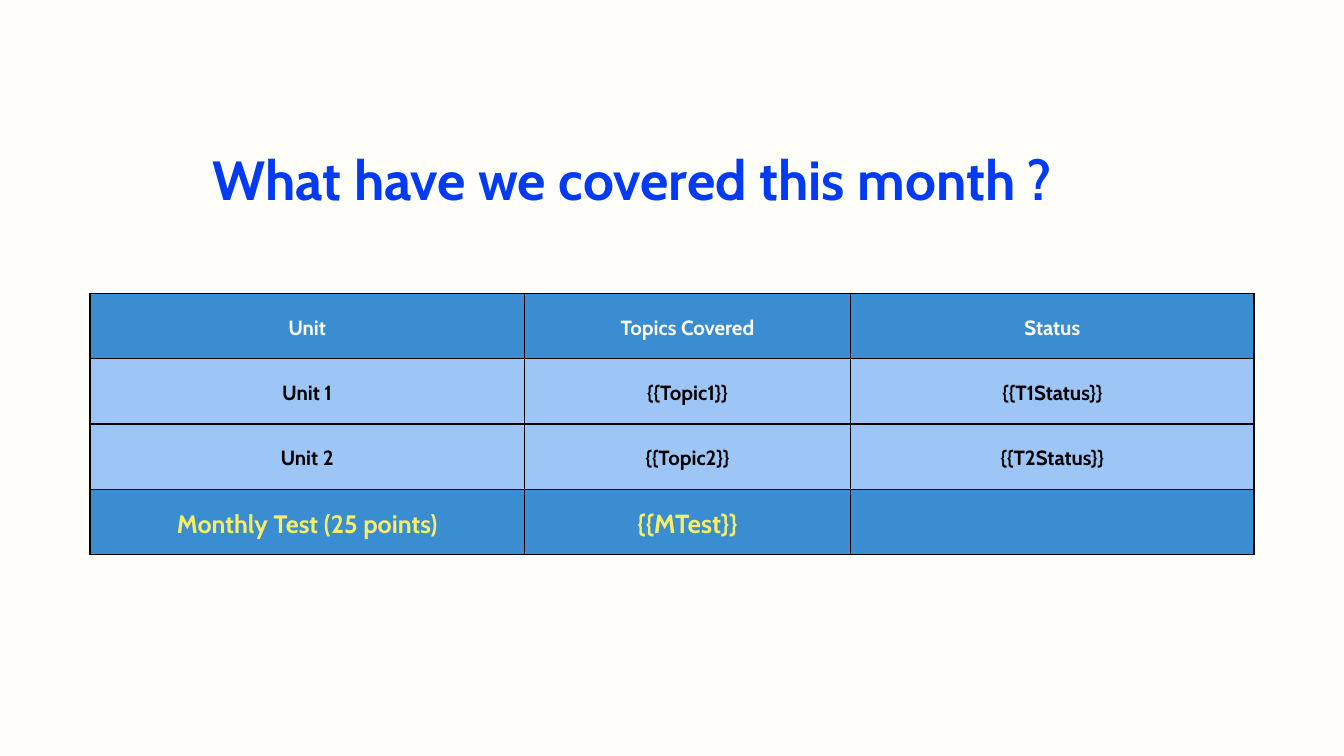
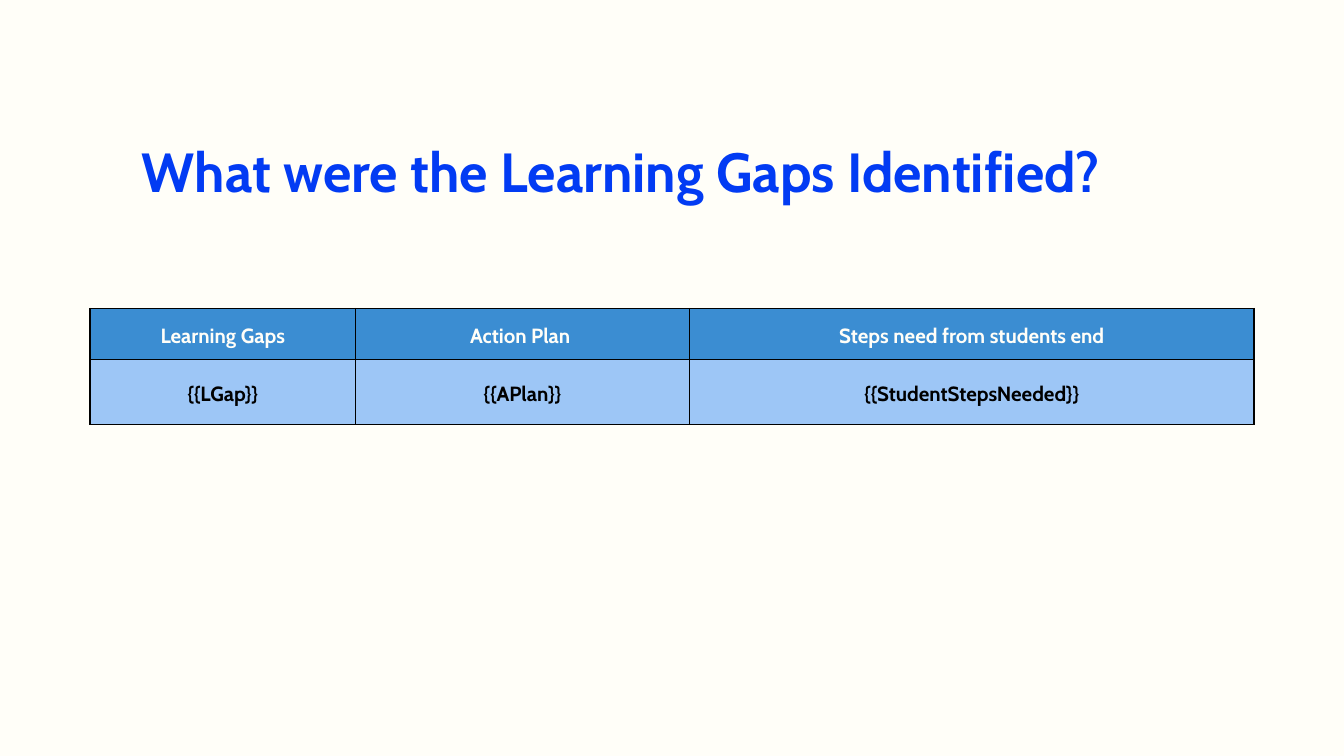
"""Build two monthly review slides, each with a title and a bordered table."""
from lxml import etree
from pptx import Presentation, util as u
from pptx.dml.color import RGBColor
from pptx.enum import text
from pptx.oxml.ns import qn

PX = 9144
FONT = "Cabin"
COLORS = {
    "paper": "FFFEF8",
    "title": "023BF3",
    "band": "3B8DD2",
    "body": "9DC6F6",
    "ink": "000000",
    "score": "F8EE66",
}
ROW_STYLES = {
    "header": ("band", "paper"),
    "unit": ("body", "ink"),
    "test": ("band", "score"),
}
SLIDES = [
    {
        "title": "What have we covered this month ?",
        "title_box": (316, 200, 1411, 110),
        "top": 437,
        "cols": [646, 486, 600],
        "rows": [
            ("header", 97, [22, 22, 22], ["Unit", "Topics Covered", "Status"]),
            ("unit", 97, [22, 22, 22], ["Unit 1", "{{Topic1}}", "{{T1Status}}"]),
            ("unit", 97, [22, 22, 22], ["Unit 2", "{{Topic2}}", "{{T2Status}}"]),
            ("test", 97, [27, 28, 28], ["Monthly Test (25 points)", "{{MTest}}", ""]),
        ],
    },
    {
        "title": "What were the Learning Gaps Identified?",
        "title_box": (211, 188, 1619, 110),
        "top": 459,
        "cols": [395, 497, 840],
        "rows": [
            ("header", 76, [22, 22, 22],
             ["Learning Gaps", "Action Plan ", "Steps need from students end"]),
            ("unit", 97, [22, 22, 22],
             ["{{LGap}}", "{{APlan}}", "{{StudentStepsNeeded}}"]),
        ],
    },
]


def write(tf, words, size, color):
    tf.text = words
    p = tf.paragraphs[0]
    p.line_spacing = u.Pt(round(size * 1.4, 1))
    for r in p.runs:
        r.font.name = FONT
        r.font.size = u.Pt(size)
        r.font.bold = True
        r.font.color.rgb = RGBColor.from_string(COLORS[color])
    return p


def add_borders(cell):
    tc_pr = cell._tc.get_or_add_tcPr()
    for side in ("a:lnL", "a:lnR", "a:lnT", "a:lnB"):
        ln = etree.SubElement(tc_pr, qn(side), w=str(u.Pt(1.5)))
        fill = etree.SubElement(ln, qn("a:solidFill"))
        etree.SubElement(fill, qn("a:srgbClr"), val=COLORS["ink"])


prs = Presentation()
prs.slide_width, prs.slide_height = 2000 * PX, 1125 * PX

for page in SLIDES:
    s = prs.slides.add_slide(prs.slide_layouts[6])
    s.background.fill.solid()
    s.background.fill.fore_color.rgb = RGBColor.from_string(COLORS["paper"])

    cols, rows = page["cols"], page["rows"]
    height = sum(row[1] for row in rows)
    table = s.shapes.add_table(
        len(rows), len(cols), 134 * PX, page["top"] * PX, sum(cols) * PX, height * PX
    ).table
    for col, width in zip(table.columns, cols):
        col.width = width * PX

    for row, (style, row_height, sizes, words) in zip(table.rows, rows):
        row.height = row_height * PX
        fill, ink = ROW_STYLES[style]
        for cell, size, word in zip(row.cells, sizes, words):
            cell.margin_left = cell.margin_right = 12 * PX
            cell.margin_top = cell.margin_bottom = 12 * PX
            cell.vertical_anchor = text.MSO_ANCHOR.MIDDLE
            add_borders(cell)
            cell.fill.solid()
            cell.fill.fore_color.rgb = RGBColor.from_string(COLORS[fill])
            if word:
                p = write(cell.text_frame, word, size, ink)
                p.alignment = text.PP_ALIGN.CENTER

    sp = s.shapes.add_textbox(*(n * PX for n in page["title_box"]))
    tf = sp.text_frame
    tf.word_wrap = True
    tf.auto_size = text.MSO_AUTO_SIZE.SHAPE_TO_FIT_TEXT
    tf.margin_left = tf.margin_right = tf.margin_top = tf.margin_bottom = 0
    write(tf, page["title"], 59, "title")

prs.save("out.pptx")
